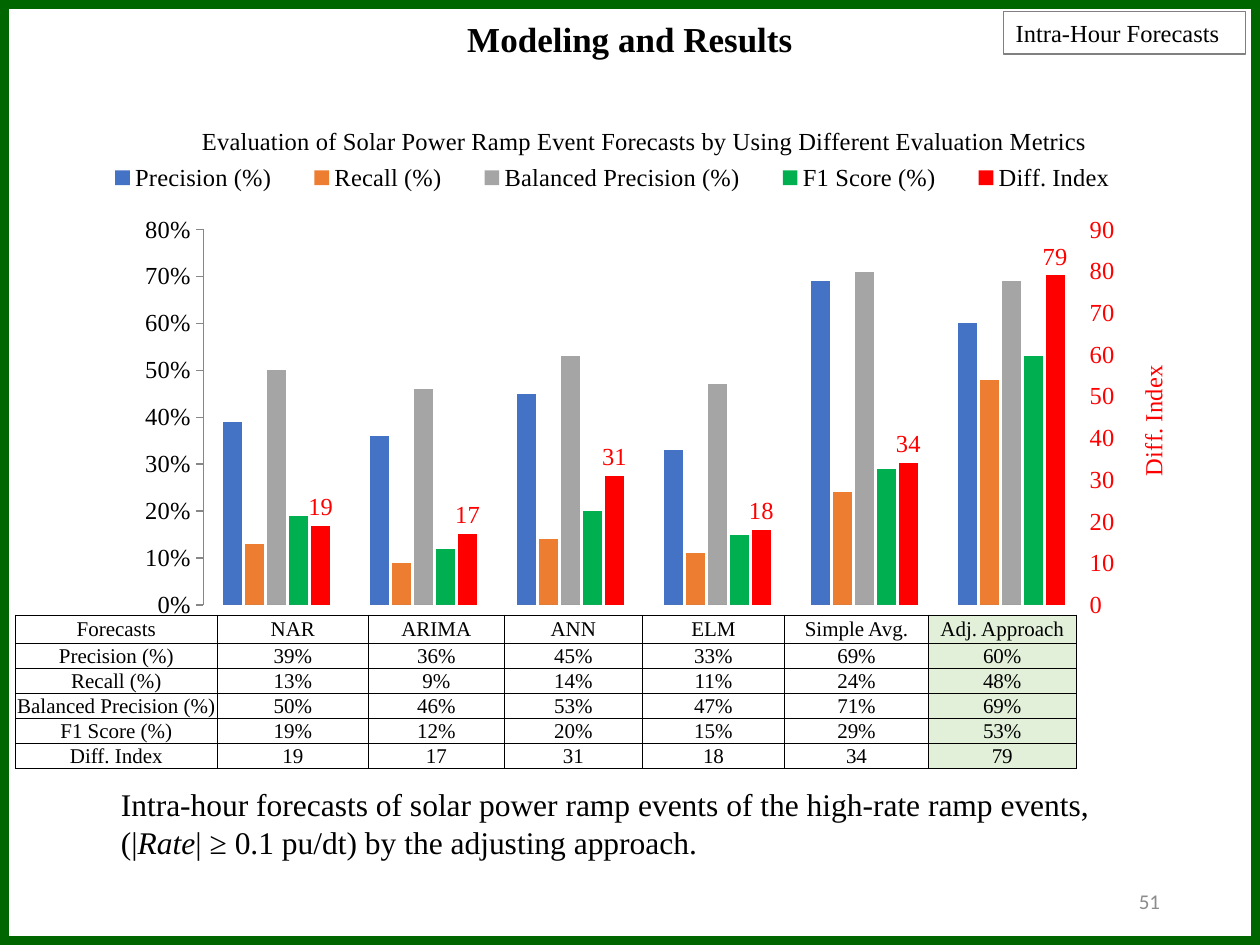
from copy import deepcopy

from pptx import Presentation
from pptx.chart.axis import ValueAxis
from pptx.chart.data import CategoryChartData
from pptx.dml.color import RGBColor
from pptx.enum.chart import XL_CHART_TYPE, XL_LABEL_POSITION, XL_LEGEND_POSITION, XL_TICK_MARK
from pptx.enum.shapes import MSO_SHAPE
from pptx.enum.text import MSO_ANCHOR, PP_ALIGN
from pptx.oxml.ns import qn
from pptx.oxml.xmlchemy import OxmlElement
from pptx.util import Pt

COLUMNS = XL_CHART_TYPE.COLUMN_CLUSTERED
OUTSIDE = XL_LABEL_POSITION.OUTSIDE_END
BOTTOM = XL_LEGEND_POSITION.BOTTOM
NO_TICK = XL_TICK_MARK.NONE
RECTANGLE = MSO_SHAPE.RECTANGLE
TOP, MIDDLE = MSO_ANCHOR.TOP, MSO_ANCHOR.MIDDLE
LEFT, CENTER, RIGHT = PP_ALIGN.LEFT, PP_ALIGN.CENTER, PP_ALIGN.RIGHT

COLORS = {
    "black": "000000", "red": "FF0000", "frame": "006600", "box": "808080",
    "number": "8C8C8C", "highlight": "E2F0D9", "grid": "D9D9D9",
    "Precision (%)": "4472C4", "Recall (%)": "ED7D31",
    "Balanced Precision (%)": "A5A5A5", "F1 Score (%)": "00B050",
    "Diff. Index": "FF0000",
}
FORECASTS = ["NAR", "ARIMA", "ANN", "ELM", "Simple Avg.", "Adj. Approach"]
METRICS = {
    "Precision (%)": [0.39, 0.36, 0.45, 0.33, 0.69, 0.6],
    "Recall (%)": [0.13, 0.09, 0.14, 0.11, 0.24, 0.48],
    "Balanced Precision (%)": [0.5, 0.46, 0.53, 0.47, 0.71, 0.69],
    "F1 Score (%)": [0.19, 0.12, 0.2, 0.15, 0.29, 0.53],
}
INDEX_NAME = "Diff. Index"
INDEX_VALUES = [19, 17, 31, 18, 34, 79]
SLOTS = len(METRICS) + 1


def color(name):
    return RGBColor.from_string(COLORS[name])


def add_value(parent, tag, value, position=None):
    child = OxmlElement(tag)
    child.set("val", str(value))
    parent.insert(len(parent) if position is None else position, child)


def place(element, position, x, y, size=(), inner=False):
    for old in element.findall(qn("c:layout")):
        element.remove(old)
    layout = OxmlElement("c:layout")
    manual = OxmlElement("c:manualLayout")
    layout.append(manual)
    if inner:
        add_value(manual, "c:layoutTarget", "inner")
    add_value(manual, "c:xMode", "edge")
    add_value(manual, "c:yMode", "edge")
    for tag, value in zip(("c:x", "c:y", "c:w", "c:h"), (x, y, *size)):
        add_value(manual, tag, value)
    element.insert(position, layout)


class SlideBuilder:
    font_name = "Times New Roman"

    def __init__(self, slide):
        self.slide = slide

    def style_font(self, font, size, color_name="black", bold=False, name=None):
        font.name = name or self.font_name
        font.size = Pt(size)
        font.bold = bold
        font.color.rgb = color(color_name)

    def text(self, box, lines, size, align=LEFT, anchor=TOP, wrap=True, **style):
        shape = self.slide.shapes.add_textbox(*map(Pt, box))
        frame = shape.text_frame
        frame.word_wrap = wrap
        frame.vertical_anchor = anchor
        for number, runs in enumerate(lines):
            paragraph = frame.add_paragraph() if number else frame.paragraphs[0]
            paragraph.alignment = align
            for content, italic in runs:
                run = paragraph.add_run()
                run.text = content
                self.style_font(run.font, size, **style)
                run.font.italic = italic
        return shape

    def outline(self, box, color_name, width):
        shape = self.slide.shapes.add_shape(RECTANGLE, *map(Pt, box))
        shape.shadow.inherit = False
        shape.fill.background()
        shape.line.color.rgb = color(color_name)
        shape.line.width = Pt(width)

    def table(self, left, top, widths, heights, rows):
        table = self.slide.shapes.add_table(
            len(rows), len(widths), Pt(left), Pt(top), Pt(sum(widths)), Pt(sum(heights))).table
        table.first_row = table.horz_banding = False
        for column, width in zip(table.columns, widths):
            column.width = Pt(width)
        for row, height, values in zip(table.rows, heights, rows):
            row.height = Pt(height)
            for number, (cell, value) in enumerate(zip(row.cells, values)):
                self.table_cell(cell, value, number == len(widths) - 1)

    def table_cell(self, cell, value, highlighted):
        cell.text_frame.text = value
        cell.vertical_anchor = MIDDLE
        cell.margin_left = cell.margin_right = cell.margin_top = Pt(0.7)
        cell.margin_bottom = Pt(0)
        paragraph = cell.text_frame.paragraphs[0]
        paragraph.alignment = CENTER
        self.style_font(paragraph.runs[0].font, 12)
        properties = cell._tc.get_or_add_tcPr()
        for tag in ("a:lnL", "a:lnR", "a:lnT", "a:lnB"):
            line = OxmlElement(tag)
            line.set("w", str(Pt(0.5)))
            fill = OxmlElement("a:solidFill")
            add_value(fill, "a:srgbClr", COLORS["black"])
            line.append(fill)
            properties.append(line)
        if highlighted:
            cell.fill.solid()
            cell.fill.fore_color.rgb = color("highlight")
        else:
            cell.fill.background()

    def chart_title(self, title, content, color_name, x, y, rotated=False):
        title.text_frame.text = content
        self.style_font(title.text_frame.paragraphs[0].runs[0].font, 14, color_name)
        if rotated:
            body = title.element.find(".//" + qn("a:bodyPr"))
            body.set("rot", "-5400000")
            body.set("vert", "horz")
        place(title.element, 1, x, y)

    def value_axis(self, axis, title, color_name, maximum, unit, number_format, x, y):
        axis.minimum_scale, axis.maximum_scale, axis.major_unit = 0, maximum, unit
        axis.major_tick_mark = axis.minor_tick_mark = NO_TICK
        axis.format.line.fill.background()
        axis.tick_labels.number_format = number_format
        axis.tick_labels.number_format_is_linked = False
        self.style_font(axis.tick_labels.font, 14, color_name)
        axis.has_title = True
        self.chart_title(axis.axis_title, title, color_name, x, y, rotated=True)

    def split_to_right_axis(self, plot_area):
        bars, category, value = (plot_area.find(qn(tag)) for tag in ("c:barChart", "c:catAx", "c:valAx"))
        right_bars, right_category, right_value = map(deepcopy, (bars, category, value))
        for group, unused in ((bars, slice(SLOTS, None)), (right_bars, slice(SLOTS))):
            for series in group.findall(qn("c:ser"))[unused]:
                group.remove(series)
        for element in (right_bars, right_category, right_value):
            for reference in element.iter(qn("c:axId"), qn("c:crossAx")):
                reference.set("val", str(abs(int(reference.get("val"))) + 1))
        right_value.find(qn("c:axPos")).set("val", "r")
        right_value.find(qn("c:crosses")).set("val", "max")
        bars.addnext(right_bars)
        value.addnext(right_value)
        right_value.addnext(right_category)
        return ValueAxis(right_value)

    def chart(self, box, title):
        data = CategoryChartData()
        data.categories = [str(number + 1) for number in range(len(FORECASTS))]
        for name, values in METRICS.items():
            data.add_series(name, values, "0%")
        for number in range(SLOTS, 2 * SLOTS):
            data.add_series(f"Series {number}", [0] * len(FORECASTS))
        data.add_series(INDEX_NAME, INDEX_VALUES)
        chart = self.slide.shapes.add_chart(COLUMNS, *map(Pt, box), data).chart
        self.style_font(chart.font, 14)
        chart.has_title = True
        self.chart_title(chart.chart_title, title, "black", 0.13, 0.03)

        plot = chart.plots[0]
        plot.gap_width, plot.overlap, plot.vary_by_categories = 210, -16, False
        for series in plot.series:
            series.format.fill.solid()
            series.format.fill.fore_color.rgb = color(series.name if series.name in COLORS else "box")
        labels = plot.series[-1].data_labels
        labels.show_value, labels.position = True, OUTSIDE
        self.style_font(labels.font, 14, "red")

        chart.category_axis.visible = False
        chart.value_axis.has_major_gridlines = False
        plot_area = chart.element.find(".//" + qn("c:plotArea"))
        right_axis = self.split_to_right_axis(plot_area)
        right_axis.major_gridlines.format.line.color.rgb = color("grid")
        right_axis.major_gridlines.format.line.width = Pt(0.75)
        self.value_axis(chart.value_axis, "Percentage (%)", "black", 1, 0.1, "0%", 0.03, 0.37)
        self.value_axis(right_axis, INDEX_NAME, "red", 90, 10, "General", 0.93, 0.41)
        place(plot_area, 0, 0.135, 0.202, (0.754, 0.595), inner=True)

        chart.has_legend = True
        chart.legend.position = BOTTOM
        chart.legend.include_in_layout = False
        self.style_font(chart.legend.font, 14)
        legend = chart.element.find(".//" + qn("c:legend"))
        for position, hidden in enumerate(range(SLOTS - 1, 2 * SLOTS - 1), 1):
            entry = OxmlElement("c:legendEntry")
            add_value(entry, "c:idx", hidden)
            add_value(entry, "c:delete", 1)
            legend.insert(position, entry)
        place(legend, SLOTS + 1, 0.03, 0.09, (0.91, 0.06))


def main():
    presentation = Presentation()
    presentation.slide_width, presentation.slide_height = Pt(720), Pt(540)
    builder = SlideBuilder(presentation.slides.add_slide(presentation.slide_layouts[6]))
    builder.chart((26, 58.3, 668, 360.7),
                  "Evaluation of Solar Power Ramp Event Forecasts by Using Different Evaluation Metrics")
    rows = [["Forecasts", *FORECASTS]]
    rows += [[name, *(f"{value:.0%}" for value in values)] for name, values in METRICS.items()]
    rows.append([INDEX_NAME, *map(str, INDEX_VALUES)])
    builder.table(8.8, 351.4, [115.4, 86.3, 77.7, 78.9, 81.3, 82.2, 84.4], [16] + [14.3] * SLOTS, rows)
    builder.outline((0, 0, 720, 540), "frame", 10)
    builder.text((508, 500.5, 162, 28.8), [[("51", False)]], 12, RIGHT, MIDDLE,
                 color_name="number", name="Calibri")
    builder.text((62, 445, 575, 51), [
        [("Intra-hour forecasts of solar power ramp events of the high-rate ramp events,", False)],
        [("(|", False), ("Rate", True), ("| ≥ 0.1 pu/dt) by the adjusting approach.", False)],
    ], 18)
    label = builder.text((573.3, 6.5, 138.3, 24.5), [[("Intra-Hour Forecasts", False)]], 14)
    label.line.color.rgb = color("box")
    label.line.width = Pt(0.75)
    builder.text((259, 6.5, 202, 31.5), [[("Modeling and Results", False)]], 20, CENTER, wrap=False, bold=True)
    presentation.save("out.pptx")


if __name__ == "__main__":
    main()
